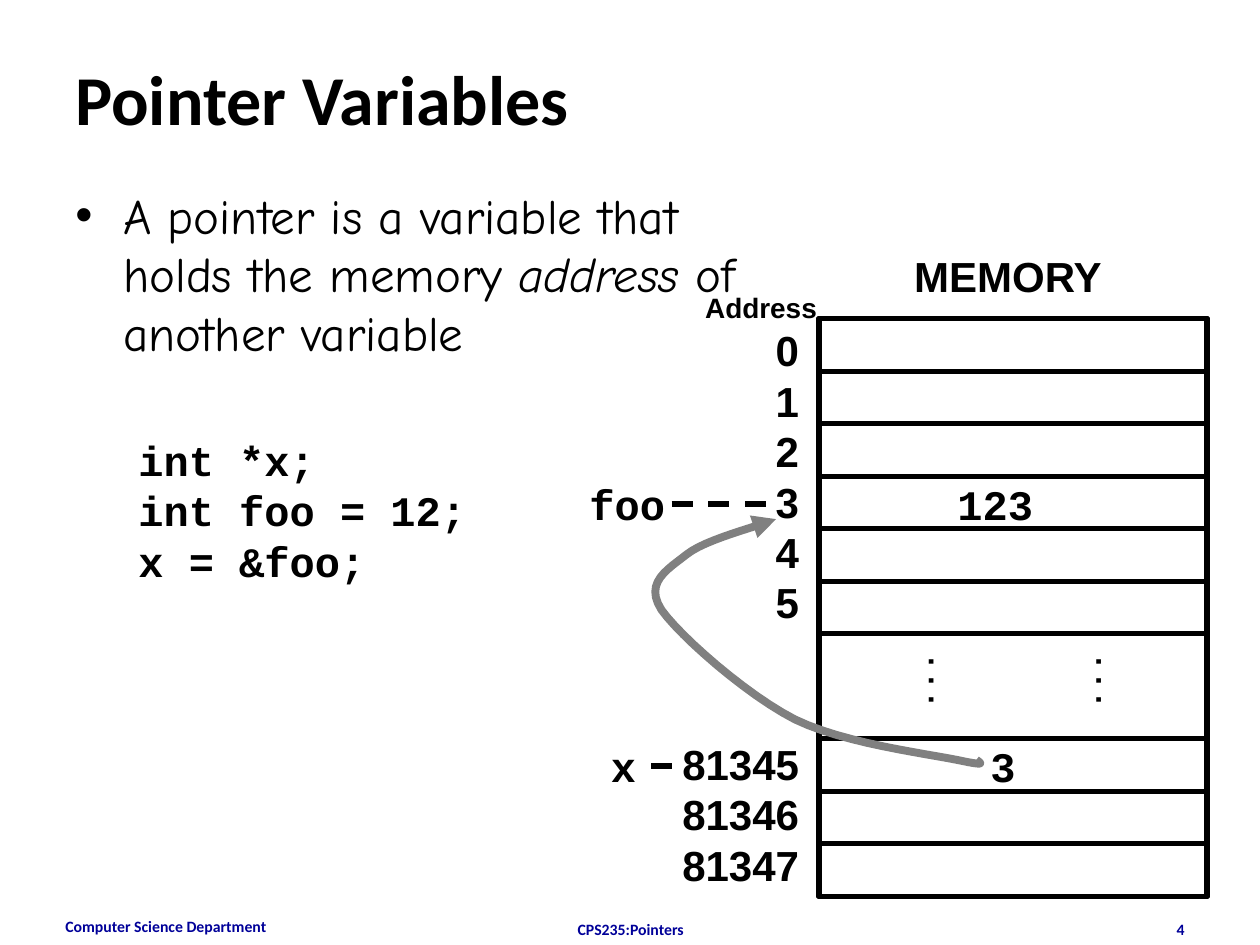
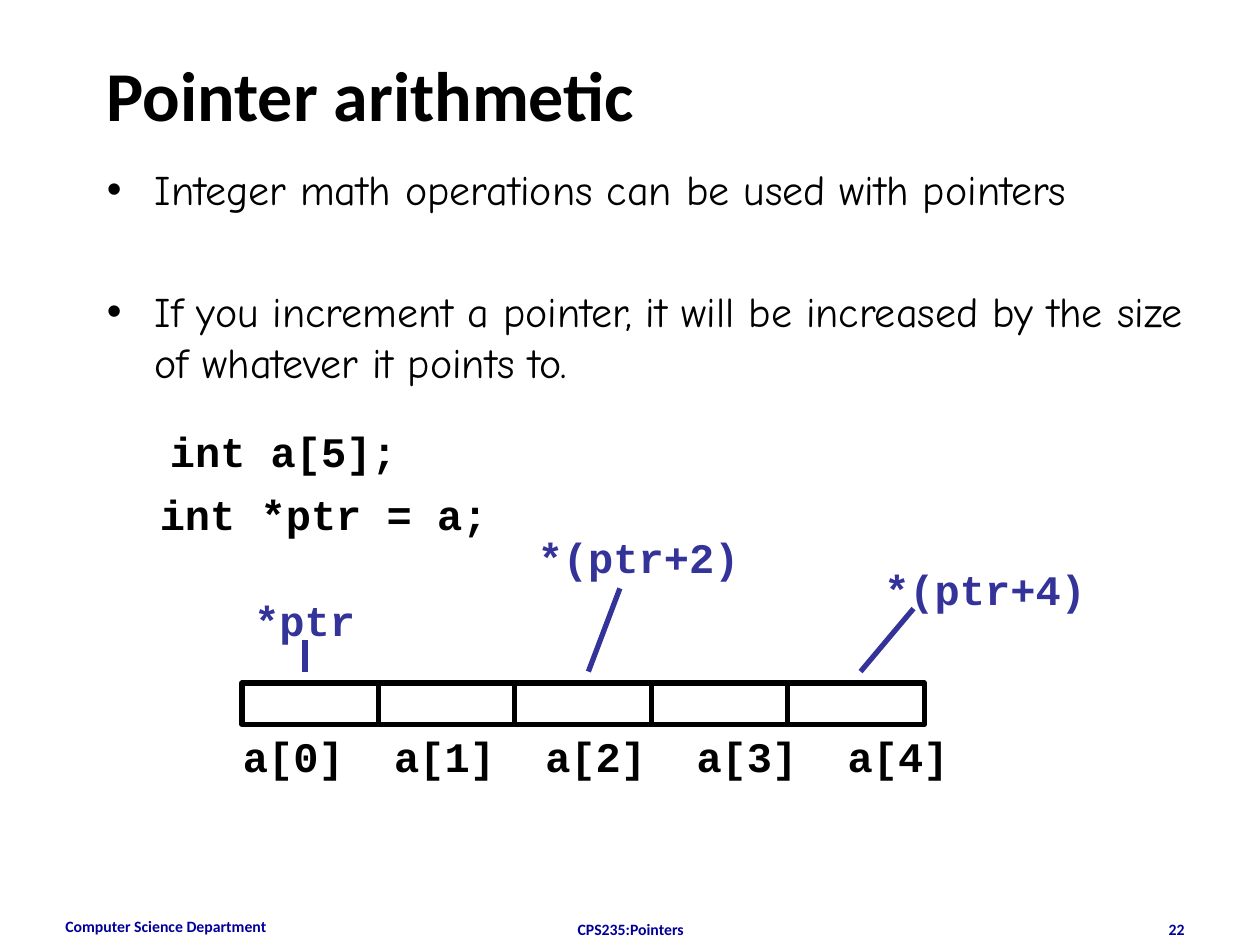
from lxml import etree
from pptx import Presentation
from pptx.dml.color import RGBColor
from pptx.enum.dml import MSO_LINE
from pptx.enum.shapes import MSO_CONNECTOR, MSO_SHAPE
from pptx.enum.text import MSO_ANCHOR, PP_ALIGN
from pptx.oxml.ns import qn
from pptx.util import Inches, Pt

BLACK = RGBColor(0x00, 0x00, 0x00)
WHITE = RGBColor(0xFF, 0xFF, 0xFF)
FOOTER_BLUE = RGBColor(0x00, 0x00, 0x99)
POINTER_BLUE = RGBColor(0x33, 0x33, 0x99)
ARROW_GREY = RGBColor(0x80, 0x80, 0x80)

TITLE_FONT, BODY_FONT, CODE_FONT, LABEL_FONT = "Calibri", "Comic Neue", "Courier New", "Arial"
LEFT, CENTER, RIGHT = PP_ALIGN.LEFT, PP_ALIGN.CENTER, PP_ALIGN.RIGHT
TOP, MIDDLE = MSO_ANCHOR.TOP, MSO_ANCHOR.MIDDLE
RECTANGLE, STRAIGHT, DASH = MSO_SHAPE.RECTANGLE, MSO_CONNECTOR.STRAIGHT, MSO_LINE.DASH
LINE_PITCH = Pt(28.8)


def add_text(slide, box, paragraphs, font=CODE_FONT, size=24, color=BLACK, bold=True,
             align=LEFT, anchor=TOP, bullet=False):
    """Add a text box; each paragraph is a list of (text, italic) runs or a plain string."""
    shape = slide.shapes.add_textbox(*map(Inches, box))
    frame = shape.text_frame
    frame.word_wrap = True
    frame.vertical_anchor = anchor
    for index, runs in enumerate(paragraphs):
        paragraph = frame.paragraphs[0] if index == 0 else frame.add_paragraph()
        paragraph.alignment = align
        if bullet:
            properties = paragraph._p.get_or_add_pPr()
            properties.set("marL", str(Inches(0.38)))
            properties.set("indent", str(-Inches(0.38)))
            etree.SubElement(properties, qn("a:buFont"), typeface=LABEL_FONT)
            etree.SubElement(properties, qn("a:buChar"), char="•")
        for text, italic in [(runs, False)] if isinstance(runs, str) else runs:
            run = paragraph.add_run()
            run.text = text
            run.font.name = font
            run.font.size = Pt(size)
            run.font.bold = bold
            run.font.italic = italic
            run.font.color.rgb = color
    return shape


def add_line(slide, start, end, color, dash=None):
    line = slide.shapes.add_connector(STRAIGHT, *map(Inches, start + end))
    line.line.color.rgb = color
    line.line.width = Pt(3)
    if dash:
        line.line.dash_style = dash
    etree.SubElement(line._element.spPr, qn("a:effectLst"))


presentation = Presentation()
presentation.slide_width = Inches(10)
presentation.slide_height = Inches(7.5)

# Titles and footers
slides = []
for title, title_box, number in [
    ("Pointer Variables", (0.5, 0.3, 9, 0.95), "4"),
    ("Pointer arithmetic", (0.75, 0.33, 8.5, 0.83), "22"),
]:
    slide = presentation.slides.add_slide(presentation.slide_layouts[6])
    add_text(slide, title_box, [title], TITLE_FONT, 40, anchor=MIDDLE)
    for text, box, align in [
        ("Computer Science Department", (0.42, 7.23, 2.33, 0.27), LEFT),
        ("CPS235:Pointers", (3.42, 7.25, 3.17, 0.1), CENTER),
        (number, (7.17, 7.25, 2.33, 0.1), RIGHT),
    ]:
        add_text(slide, box, [text], TITLE_FONT, 9, FOOTER_BLUE, align=align)
    slides.append(slide)
variables_slide, arithmetic_slide = slides

# Pointer variables: definition and code
definition = [("A pointer is a variable that holds the memory ", False),
              ("address", True), (" of another variable", False)]
add_text(variables_slide, (0.5, 1.42, 5.67, 1.6), [definition], BODY_FONT, 28,
         bold=False, bullet=True)
code = add_text(variables_slide, (1, 3.4, 3.5, 1.3), ["int *x;", "int foo = 12;", "x = &foo;"])
for paragraph in code.text_frame.paragraphs:
    paragraph.line_spacing = LINE_PITCH

# Memory column: eleven rows, of which the sixth and seventh form one gap
MEMORY_LEFT, MEMORY_TOP, MEMORY_WIDTH = 6.5, 2.53, 3.08
ROW_HEIGHT, ROW_COUNT = 5 / 12, 11
cells = [(0, ROW_COUNT)] + [(row, 1) for row in range(ROW_COUNT) if row not in (6, 7)]
for row, span in cells:
    cell = variables_slide.shapes.add_shape(
        RECTANGLE, Inches(MEMORY_LEFT), Inches(MEMORY_TOP + row * ROW_HEIGHT),
        Inches(MEMORY_WIDTH), Inches(span * ROW_HEIGHT))
    cell.shadow.inherit = False
    cell.fill.solid()
    cell.fill.fore_color.rgb = WHITE
    cell.line.color.rgb = BLACK
    cell.line.width = Pt(3)
for left in (7.12, 8.45):
    dots = add_text(variables_slide, (left, 5.23, 0.7, 0.4), ["..."], size=18)
    dots.rotation = 90

add_text(variables_slide, (6.5, 1.94, 3, 0.5), ["MEMORY"], LABEL_FONT,
         align=CENTER, anchor=MIDDLE)
add_text(variables_slide, (5.08, 2.19, 1.92, 0.5), ["Address"], LABEL_FONT, 16,
         align=CENTER, anchor=MIDDLE)
addresses = add_text(variables_slide, (5.2, 2.53, 1.24, 4.58),
                     ["0", "1", "2", "3", "4", "5", "81345", "81346", "81347"],
                     LABEL_FONT, align=RIGHT)
for paragraph in addresses.text_frame.paragraphs:
    paragraph.line_spacing = LINE_PITCH
addresses.text_frame.paragraphs[6].space_before = Pt(63.5)

# Variable names and stored values
for text, left, top, align in [
    ("foo", 4.58, 3.75, LEFT),
    ("x", 4.75, 5.83, LEFT),
    ("123", 7.5, 3.75, LEFT),
    ("3", 7.42, 5.83, CENTER),
]:
    add_text(variables_slide, (left, top, 1.08, 0.5), [text], align=align)
add_line(variables_slide, (5.33, 4), (6.17, 4), BLACK, DASH)
add_line(variables_slide, (5.17, 6.08), (5.42, 6.08), BLACK, DASH)

# Curved arrow from the stored address to foo: cubic Bézier pieces sharing end points
CURVE = [(7.75, 6.03), (7.79, 6.06), (7.83, 6.08), (7.59, 6.03), (7.35, 5.98), (6.7, 5.9),
         (6.31, 5.71), (5.92, 5.51), (5.4, 5.05), (5.25, 4.84), (5.11, 4.62), (5.3, 4.52),
         (5.45, 4.4), (5.6, 4.28), (6.01, 4.18), (6.16, 4.12)]
STEPS = 12
points = []
for first in range(0, len(CURVE) - 1, 3):
    for step in range(1, STEPS + 1):
        t = step / STEPS
        weights = ((1 - t) ** 3, 3 * t * (1 - t) ** 2, 3 * t ** 2 * (1 - t), t ** 3)
        controls = CURVE[first:first + 4]
        points.append(tuple(
            Inches(sum(weight * control[axis] for weight, control in zip(weights, controls)))
            for axis in (0, 1)))
builder = variables_slide.shapes.build_freeform(*map(Inches, CURVE[0]))
builder.add_line_segments(points, close=False)
arrow = builder.convert_to_shape()
arrow.shadow.inherit = False
arrow.fill.background()
arrow.line.color.rgb = ARROW_GREY
arrow.line.width = Pt(4.5)
etree.SubElement(arrow._element.spPr.find(qn("a:ln")), qn("a:tailEnd"), type="triangle")

# Pointer arithmetic: statements and code
statements = add_text(
    arithmetic_slide, (0.75, 1.25, 8.83, 2.33),
    ["Integer math operations can be used with pointers",
     "If you increment a pointer, it will be increased by the size of whatever it points to."],
    BODY_FONT, bold=False, bullet=True)
statements.text_frame.paragraphs[1].space_before = Pt(41)
add_text(arithmetic_slide, (1.25, 3.33, 2.5, 0.5), ["int a[5];"])
add_text(arithmetic_slide, (1.17, 3.83, 3, 0.5), ["int *ptr = a;"])

# Array cells with their names below
CELL_WIDTH, NAME_PITCH = 13 / 12, 1.2
for index in range(5):
    cell = arithmetic_slide.shapes.add_shape(
        RECTANGLE, Inches(1.92 + index * CELL_WIDTH), Inches(5.42),
        Inches(CELL_WIDTH), Inches(0.33))
    cell.shadow.inherit = False
    cell.fill.background()
    cell.line.color.rgb = BLACK
    cell.line.width = Pt(3)
    add_text(arithmetic_slide, (1.83 + index * NAME_PITCH, 5.75, 1.1, 0.5), [f"a[{index}]"])

# Pointer expressions and the cells they reach
for text, box, start, end in [
    ("*ptr", (1.92, 4.67, 1.1, 0.5), (2.42, 5.08), (2.42, 5.33)),
    ("*(ptr+2)", (4.17, 4.17, 1.9, 0.5), (4.92, 4.67), (4.67, 5.33)),
    ("*(ptr+4)", (6.92, 4.42, 1.9, 0.5), (7.25, 4.83), (6.83, 5.33)),
]:
    add_text(arithmetic_slide, box, [text], color=POINTER_BLUE)
    add_line(arithmetic_slide, start, end, POINTER_BLUE)

presentation.save("out.pptx")
